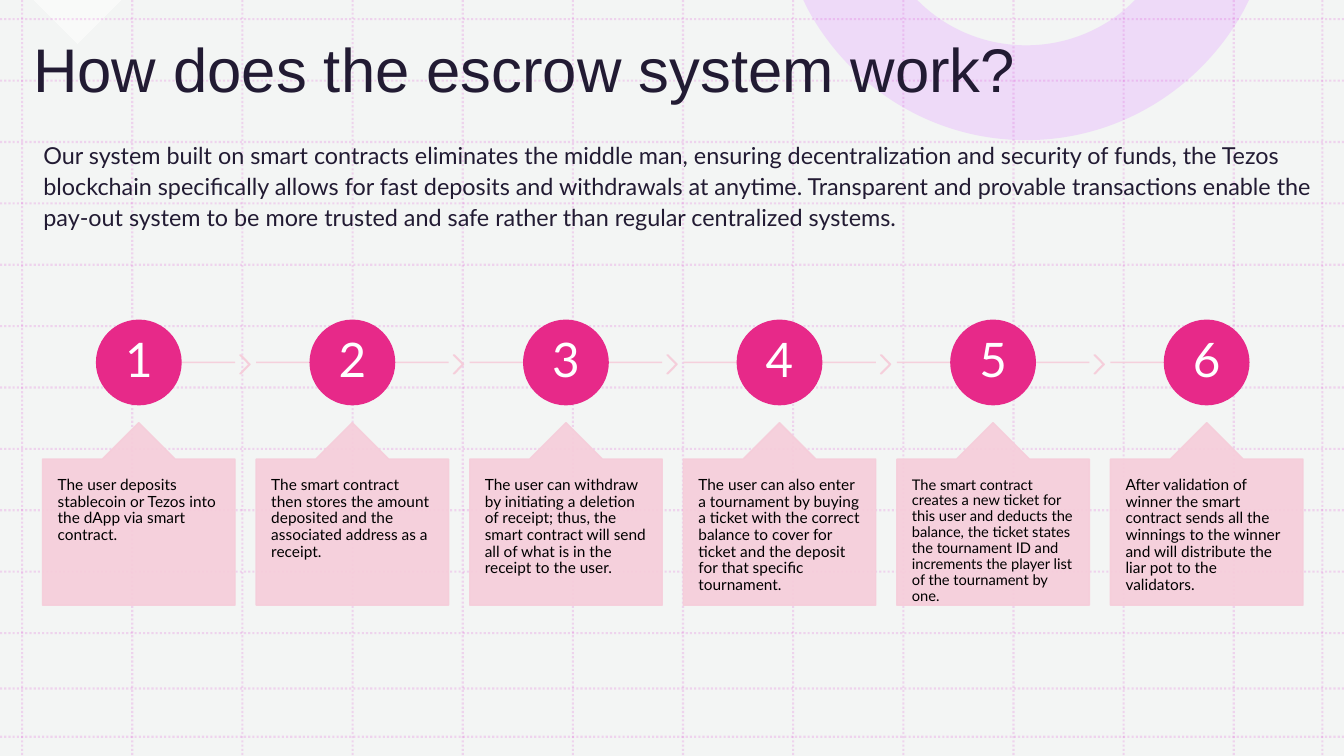
"""Build the slide that explains the escrow system in six steps."""
from pptx import Presentation
from pptx.dml.color import RGBColor
from pptx.enum.dml import MSO_LINE
from pptx.enum.shapes import MSO_CONNECTOR, MSO_SHAPE
from pptx.enum.text import MSO_ANCHOR, PP_ALIGN
from pptx.oxml.ns import qn
from pptx.oxml.xmlchemy import OxmlElement
from pptx.util import Pt

COLORS = {
    "veil": "F0F3F2",
    "grid": "D517C7",
    "white": "FFFFFF",
    "ring": "EDD4FA",
    "title": "221B33",
    "circle": "E72989",
    "card": "F6CDDA",
    "black": "000000",
}
STEPS = [
    ("The user deposits stablecoin or Tezos into the dApp via smart contract.", 11),
    ("The smart contract then stores the amount deposited and the associated "
     "address as a receipt.", 11),
    ("The user can withdraw by initiating a deletion of receipt; thus, the smart "
     "contract will send all of what is in the receipt to the user.", 11),
    ("The user can also enter a tournament by buying a ticket with the correct "
     "balance to cover for ticket and the deposit for that specific tournament.", 11),
    ("The smart contract creates a new ticket for this user and deducts the balance, "
     "the ticket states the tournament ID and increments the player list of the "
     "tournament by one.", 10.5),
    ("After validation of winner the smart contract sends all the winnings to the "
     "winner and will distribute the liar pot to the validators.", 11),
]
WIDTH, HEIGHT = 960, 540


def paint(item, color, opacity=100, outline=None):
    """Color a shape or connector, without shadow and with the given opacity."""
    if hasattr(item, "fill"):
        item.shadow.inherit = False
        item.fill.solid()
        item.fill.fore_color.rgb = RGBColor.from_string(COLORS[color])
    else:
        item._element.spPr.append(OxmlElement("a:effectLst"))
    if outline:
        item.line.color.rgb = RGBColor.from_string(COLORS[color])
        item.line.width = Pt(outline)
    else:
        item.line.fill.background()
    if opacity < 100:
        for tint in item._element.spPr.iter(qn("a:srgbClr")):
            alpha = OxmlElement("a:alpha")
            alpha.set("val", str(opacity * 1000))
            tint.append(alpha)


def write(box, text, font, size, color, spacing, insets, anchor, align=PP_ALIGN.LEFT):
    """Fill a box with one formatted paragraph."""
    frame = box.text_frame
    left, top = (Pt(inset) for inset in insets)
    layout = {"word_wrap": True, "vertical_anchor": anchor, "margin_left": left,
              "margin_right": left, "margin_top": top, "margin_bottom": top}
    for name, value in layout.items():
        setattr(frame, name, value)
    para = frame.paragraphs[0]
    para.alignment, para.line_spacing = align, spacing
    span = para.add_run()
    span.text = text
    for name, value in {"name": font, "size": Pt(size)}.items():
        setattr(span.font, name, value)
    span.font.color.rgb = RGBColor.from_string(COLORS[color])


deck = Presentation()
deck.slide_width, deck.slide_height = Pt(WIDTH), Pt(HEIGHT)
page = deck.slides.add_slide(deck.slide_layouts[6])
shapes = page.shapes

for color, opacity in (("white", 100), ("veil", 80)):
    backdrop = shapes.add_shape(MSO_SHAPE.RECTANGLE, 0, 0, Pt(WIDTH), Pt(HEIGHT))
    paint(backdrop, color, opacity)

corner = shapes.add_shape(MSO_SHAPE.RIGHT_TRIANGLE, Pt(33.1), Pt(-22.3), Pt(44.6), Pt(44.6))
corner.rotation = 315
paint(corner, "white", 50)

ring_x = 733
half_ring = [(0, 100.1), (67, 100.1), (125.3, 62.6), (155.6, 7.2), (159.2, 0),
             (77.8, 0), (77.1, 0.7), (57.6, 20.2), (30.3, 32.4), (0, 32.4)]
ring_points = [(Pt(ring_x - x), Pt(y)) for x, y in half_ring]
ring_points += [(Pt(ring_x + x), Pt(y)) for x, y in half_ring[-2::-1]]
builder = shapes.build_freeform(*ring_points[0])
builder.add_line_segments(ring_points[1:], close=True)
ring = builder.convert_to_shape()
segments = list(ring._element.iter(qn("a:lnTo")))
for first in (0, 6, 9, 15):
    curve = OxmlElement("a:cubicBezTo")
    segments[first].addprevious(curve)
    for segment in segments[first:first + 3]:
        curve.append(segment[0])
        segment.getparent().remove(segment)
paint(ring, "ring", 80)

columns = [15.8 + 78.68 * index for index in range(12)] + [944.6]
rows = [13.7 + 43.85 * index for index in range(11)] + [491.8, 526.3]
grid = [(x, 0, x, HEIGHT) for x in columns] + [(0, y, WIDTH, y) for y in rows]
for ends in grid:
    grid_line = shapes.add_connector(MSO_CONNECTOR.STRAIGHT, *map(Pt, ends))
    paint(grid_line, "grid", 15, 1.5)
    grid_line.line.dash_style = MSO_LINE.ROUND_DOT

title = shapes.add_textbox(Pt(16.6), Pt(11.5), Pt(770.4), Pt(67.7))
write(title, "How does the escrow system work?", "Arial", 44, "title", 0.9,
      (7.2, 3.6), MSO_ANCHOR.BOTTOM)
intro = shapes.add_textbox(Pt(23.9), Pt(95.2), Pt(920.9), Pt(93.6))
write(intro, "Our system built on smart contracts eliminates the middle man, ensuring "
      "decentralization and security of funds, the Tezos blockchain specifically allows "
      "for fast deposits and withdrawals at anytime. Transparent and provable "
      "transactions enable the pay-out system to be more trusted and safe rather than "
      "regular centralized systems.", "Lato", 16.7, "title", 1.1, (7.2, 3.6),
      MSO_ANCHOR.TOP)

card_width, pitch, diameter, middle = 137.5, 152.55, 60.3, 258.9
for index, (text, size) in enumerate(STEPS):
    left = 30.4 + pitch * index
    center = left + card_width / 2
    last = index == len(STEPS) - 1
    start = left if index else center
    end = center if last else left + card_width
    track = shapes.add_connector(MSO_CONNECTOR.STRAIGHT, Pt(start), Pt(middle),
                                 Pt(end), Pt(middle))
    paint(track, "card", 90, 1)
    if not last:
        chevron = shapes.add_shape(MSO_SHAPE.CHEVRON, Pt(left + 141), Pt(253.6),
                                   Pt(7.2), Pt(13.3))
        chevron.adjustments[0] = 0.9
        paint(chevron, "card", 90, 1)
    circle = shapes.add_shape(MSO_SHAPE.OVAL, Pt(center - diameter / 2),
                              Pt(middle - diameter / 2), Pt(diameter), Pt(diameter))
    paint(circle, "circle", outline=1)
    write(circle, str(index + 1), "Lato", 34, "white", 0.9, (2, 2), MSO_ANCHOR.MIDDLE,
          PP_ALIGN.CENTER)
    card = shapes.add_shape(MSO_SHAPE.UP_ARROW_CALLOUT, Pt(left), Pt(301.9),
                            Pt(card_width), Pt(130.4))
    for position, value in enumerate((0.5, 0.2, 0.2, 1)):
        card.adjustments[position] = value
    paint(card, "card", 90, 1)
    write(card, text, "Lato", size, "black", 0.9, (10.8, 13), MSO_ANCHOR.TOP)

deck.save("out.pptx")
